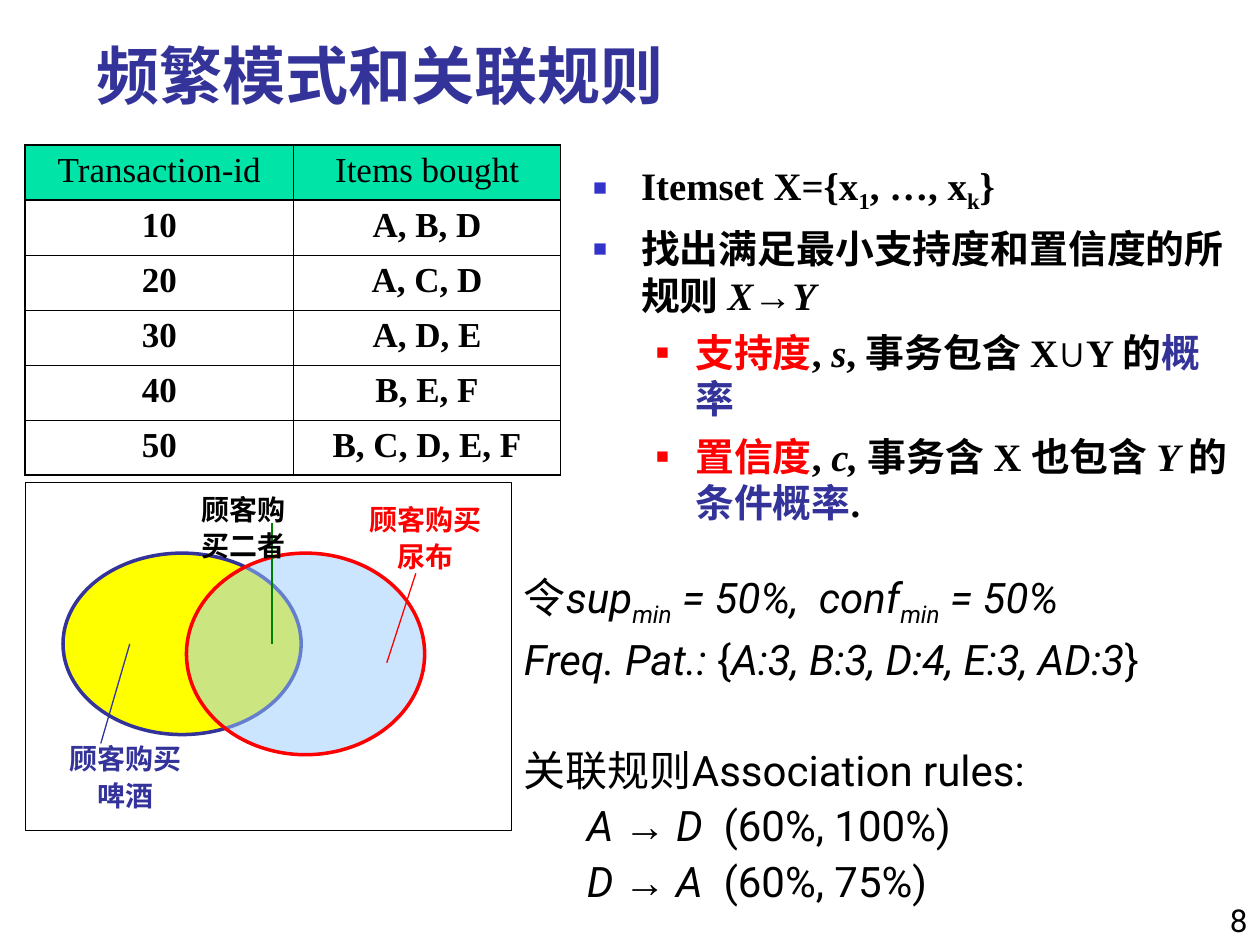
from lxml import etree
from pptx import Presentation
from pptx import util as u
from pptx.dml.color import RGBColor
from pptx.enum import shapes, text
from pptx.oxml import ns

NAVY = RGBColor(0x33, 0x33, 0x99)
BLUE = RGBColor(0x33, 0x33, 0xCC)
RED = RGBColor(0xFF, 0x00, 0x00)
GREEN = RGBColor(0x00, 0x80, 0x00)
YELLOW = RGBColor(0xFF, 0xFF, 0x00)
SKY = RGBColor(0x99, 0xCC, 0xFF)
MINT = RGBColor(0x00, 0xE4, 0xA8)
BLACK = RGBColor(0x00, 0x00, 0x00)
SERIF, SANS, SYMBOL = "Times New Roman", "Roboto", "Arial"
LEFT, CENTER, RIGHT = text.PP_ALIGN.LEFT, text.PP_ALIGN.CENTER, text.PP_ALIGN.RIGHT
TOP, BOTTOM = text.MSO_ANCHOR.TOP, text.MSO_ANCHOR.BOTTOM
ITALIC, SUB, ARROW = {"italic": True}, {"sub": True}, {"name": SYMBOL}


def add_runs(paragraph, runs, size, color=BLACK, name=SERIF, bold=True):
    """Fill a paragraph with (text, style changes) pairs."""
    for words, style in runs:
        run = paragraph.add_run()
        run.text = words
        font = run.font
        font.size, font.bold = u.Pt(size), bold
        font.name = style.get("name", name)
        font.italic = style.get("italic", False)
        font.color.rgb = style.get("color", color)
        if style.get("sub"):
            run._r.get_or_add_rPr().set("baseline", "-25000")


def add_text(box, paragraphs, size, align=LEFT, anchor=TOP, spacing=None, **style):
    """Add a text box and return its paragraphs."""
    frame = slide.shapes.add_textbox(*map(u.Inches, box)).text_frame
    frame.word_wrap = True
    frame.vertical_anchor = anchor
    for index, runs in enumerate(paragraphs):
        paragraph = frame.add_paragraph() if index else frame.paragraphs[0]
        paragraph.alignment = align
        if spacing:
            paragraph.line_spacing = spacing
        add_runs(paragraph, runs, size, **style)
    return frame.paragraphs


presentation = Presentation()
presentation.slide_width, presentation.slide_height = u.Inches(10), u.Inches(7.5)
slide = presentation.slides.add_slide(presentation.slide_layouts[6])

# Title
add_text((0.67, 0.21, 7.72, 0.73), [[("频繁模式和关联规则", {})]], 36, anchor=BOTTOM, color=NAVY)

# Definitions, bulleted on two levels
definitions = [
    (0, [("Itemset X={x", {}), ("1", SUB), (", …, x", {}), ("k", SUB), ("}", {})]),
    (0, [("找出满足最小支持度和置信度的所规则 ", {}), ("X", ITALIC),
         ("→", {**ITALIC, **ARROW}), ("Y", ITALIC)]),
    (1, [("支持度", {"color": RED}), (", ", {}), ("s", ITALIC), (", 事务包含 X", {}),
         ("∪", ARROW), ("Y 的", {}), ("概率", {"color": NAVY})]),
    (1, [("置信度", {"color": RED}), (", ", {}), ("c, ", ITALIC), ("事务含 X 也包含 ", {}),
         ("Y ", ITALIC), ("的", {}), ("条件概率", {"color": NAVY}), (".", {})]),
]
bullet_levels = [(0.38, -0.38, BLUE, 60), (0.81, -0.31, RED, 55)]
paragraphs = add_text((4.61, 1.23, 5.23, 3.02), [runs for _, runs in definitions], 22.2)
for paragraph, (level, _) in zip(paragraphs, definitions):
    margin, indent, color, percent = bullet_levels[level]
    paragraph.level = level
    paragraph.space_before = u.Pt(6)
    properties = paragraph._p.get_or_add_pPr()
    properties.set("marL", str(u.Inches(margin)))
    properties.set("indent", str(u.Inches(indent)))
    bullet_color = etree.SubElement(properties, ns.qn("a:buClr"))
    etree.SubElement(bullet_color, ns.qn("a:srgbClr"), val=str(color))
    etree.SubElement(properties, ns.qn("a:buSzPct"), val=str(percent * 1000))
    etree.SubElement(properties, ns.qn("a:buFont"), typeface=SYMBOL)
    etree.SubElement(properties, ns.qn("a:buChar"), char="■")

# Venn diagram: circles and frame
outlines = [
    (shapes.MSO_SHAPE.OVAL, (0.5, 4.39, 1.89, 1.44), YELLOW, NAVY, 2),
    (shapes.MSO_SHAPE.OVAL, (1.48, 4.39, 1.89, 1.6), SKY, RED, 2),
    (shapes.MSO_SHAPE.RECTANGLE, (0.2, 3.83, 3.86, 2.76), None, BLACK, 0.75),
]
for kind, box, fill, line, width in outlines:
    shape = slide.shapes.add_shape(kind, *map(u.Inches, box))
    shape.shadow.inherit = False
    shape.line.color.rgb, shape.line.width = line, u.Pt(width)
    if fill is None:
        shape.fill.background()
        continue
    shape.fill.solid()
    shape.fill.fore_color.rgb = fill
    if fill == SKY:
        sky_color = shape._element.spPr.find(".//" + ns.qn("a:srgbClr"))
        etree.SubElement(sky_color, ns.qn("a:alpha"), val="50000")

# Venn diagram: leader lines
for ends, color in [
    ((1.03, 5.11, 0.8, 5.9), NAVY),
    ((3.07, 5.26, 3.3, 4.55), RED),
    ((2.16, 5.11, 2.16, 4.15), GREEN),
]:
    leader = slide.shapes.add_connector(shapes.MSO_CONNECTOR.STRAIGHT, *map(u.Inches, ends))
    leader.line.color.rgb, leader.line.width = color, u.Pt(0.75)
    etree.SubElement(leader._element.spPr, ns.qn("a:effectLst"))

# Venn diagram: labels
for box, lines, color in [
    ((2.77, 3.91, 1.21, 0.69), ["顾客购买", "尿布"], RED),
    ((1.41, 3.83, 1.04, 0.69), ["顾客购买二者"], BLACK),
    ((0.39, 5.81, 1.21, 0.69), ["顾客购买", "啤酒"], NAVY),
]:
    add_text(box, [[(line, {})] for line in lines], 16, CENTER, spacing=1.1, color=color)

# Transaction table
rows = [
    ("Transaction-id", "Items bought"),
    ("10", "A, B, D"),
    ("20", "A, C, D"),
    ("30", "A, D, E"),
    ("40", "B, E, F"),
    ("50", "B, C, D, E, F"),
]
THICK, THIN = 1.08, 0.45
table = slide.shapes.add_table(len(rows), 2, *map(u.Inches, (0.2, 1.15, 4.25, 2.62))).table
table.columns[0].width, table.columns[1].width = u.Inches(2.13), u.Inches(2.12)
for row, values in enumerate(rows):
    table.rows[row].height = u.Inches(2.62 / len(rows))
    for column, value in enumerate(values):
        cell = table.cell(row, column)
        paragraph = cell.text_frame.paragraphs[0]
        paragraph.alignment, paragraph.space_before = CENTER, u.Pt(5)
        add_runs(paragraph, [(value, {})], 20, bold=row > 0)
        heavy = {
            "L": column == 0,
            "R": column == 1,
            "T": row <= 1,
            "B": row in (0, len(rows) - 1),
        }
        for side, is_heavy in heavy.items():
            border = etree.SubElement(cell._tc.get_or_add_tcPr(), ns.qn("a:ln" + side),
                                      w=str(u.Pt(THICK if is_heavy else THIN)))
            solid = etree.SubElement(border, ns.qn("a:solidFill"))
            etree.SubElement(solid, ns.qn("a:srgbClr"), val=str(BLACK))
        if row == 0:
            cell.fill.solid()
            cell.fill.fore_color.rgb = MINT
        else:
            cell.fill.background()

# Worked example
example = [
    [("令", {}), ("sup", ITALIC), ("min", {**ITALIC, **SUB}), (" = 50%,  conf", ITALIC),
     ("min", {**ITALIC, **SUB}), (" = 50%", ITALIC)],
    [("Freq. Pat.: ", ITALIC), ("{", {}), ("A:3, B:3, D:4, E:3, AD:3", ITALIC), ("}", {})],
    [("关联规则Association rules:", {})],
]
for start, end, measures in [("A", "D", "(60%, 100%)"), ("D", "A", "(60%, 75%)")]:
    example.append([(start + " ", ITALIC), ("→", ARROW), (f" {end}  ", ITALIC), (measures, {})])
paragraphs = add_text((4.06, 4.44, 5.94, 2.46), example, 24, spacing=1.1, name=SANS, bold=False)
paragraphs[2].space_before = u.Pt(31.5)
for paragraph in paragraphs[3:]:
    paragraph.level = 1
    paragraph._p.get_or_add_pPr().set("marL", str(u.Inches(0.5)))

# Slide number
add_text((7.92, 7.08, 2.08, 0.42), [[("8", {})]], 18, RIGHT, BOTTOM, name=SANS, bold=False)

presentation.save("out.pptx")
